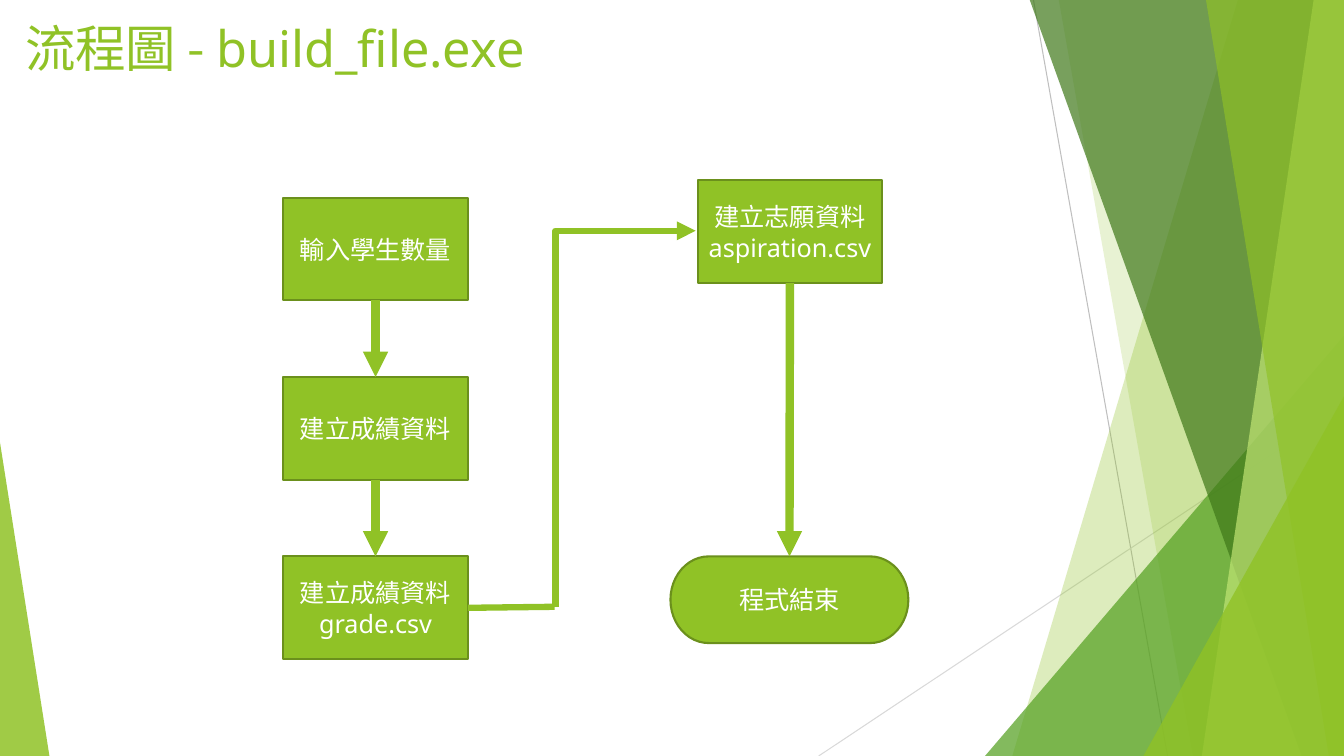
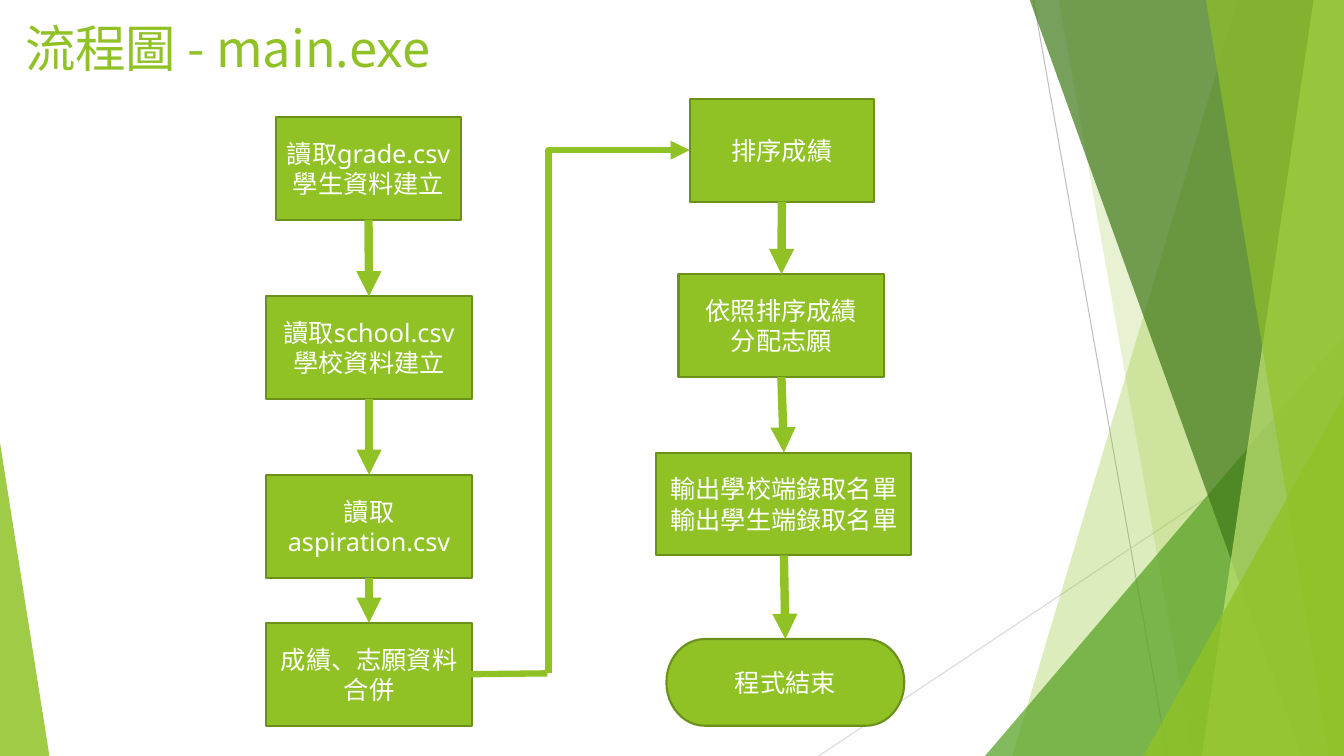
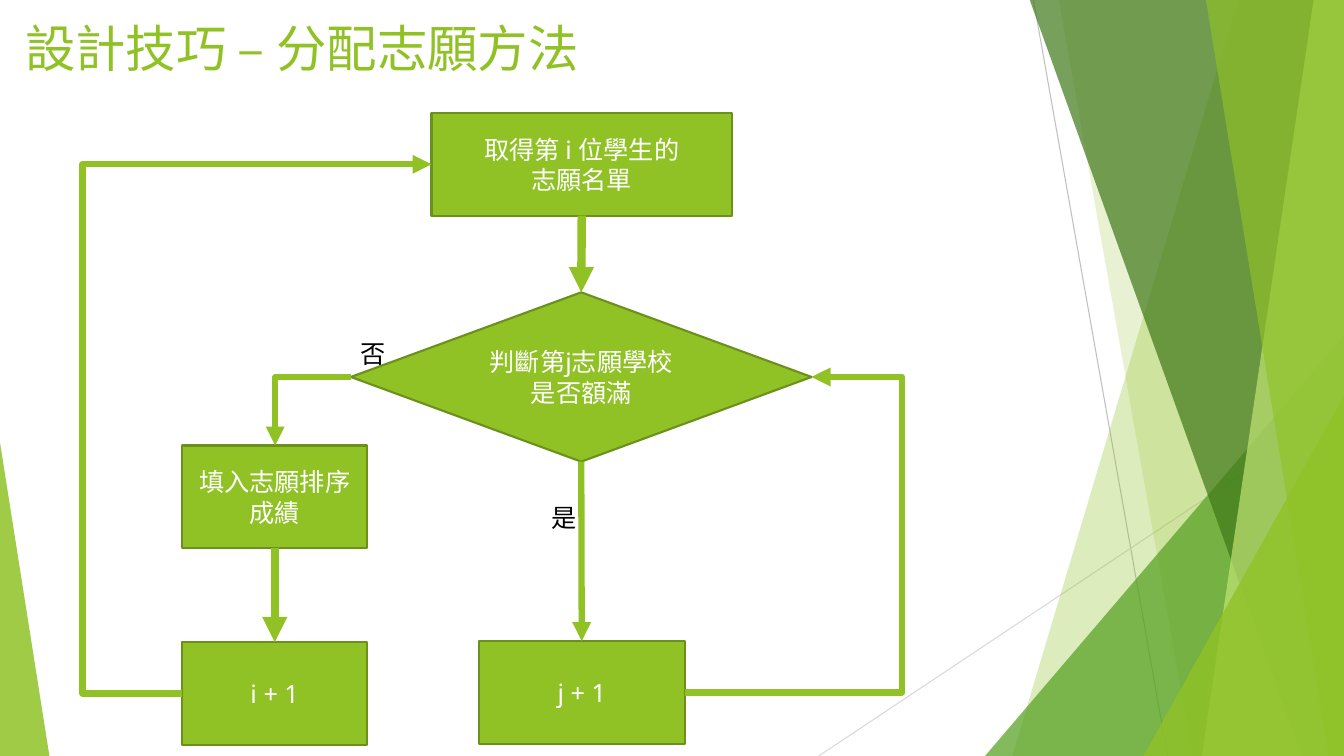
from dataclasses import dataclass

import pptx
import pptx.dml.color
import pptx.enum.shapes
import pptx.enum.text
import pptx.oxml
import pptx.oxml.ns
import pptx.util
from pptx.util import Inches

SHAPE = pptx.enum.shapes.MSO_SHAPE
CONNECTOR = pptx.enum.shapes.MSO_CONNECTOR
ALIGN = pptx.enum.text.PP_ALIGN
ANCHOR = pptx.enum.text.MSO_ANCHOR

WIDTH, HEIGHT = 13.33, 7.5
GREEN, DARK_GREEN, WHITE, BLACK = "90C226", "6B901C", "FFFFFF", "000000"
LATIN, CJK = "Noto Sans", "Noto Sans CJK SC"
TOP_SITE, BOTTOM_SITE = 0, 2
THICK, MEDIUM = 6, 4.5


@dataclass
class Facet:
    """Band from the top edge to the bottom edge, reaching the right side."""
    top_x: float
    bottom_x: float
    color: str
    opacity: int


@dataclass
class Wedge:
    """Right-angled triangle standing on the bottom edge."""
    left: float
    top: float
    width: float
    apex: float
    color: str
    opacity: int


@dataclass
class Ray:
    start: tuple[float, float]
    end: tuple[float, float]
    color: str


@dataclass
class Node:
    left: float
    top: float
    lines: list[str]
    width: float = 1.83
    height: float = 1.02
    kind: SHAPE = SHAPE.FLOWCHART_PROCESS


@dataclass
class Link:
    """Horizontal, vertical, horizontal route that turns at turn_x."""
    start: tuple[float, float]
    end: tuple[float, float]
    turn_x: float


@dataclass
class Label:
    left: float
    top: float
    text: str


@dataclass
class Flow:
    title: list[tuple[str, str]]
    nodes: dict[str, Node]
    arrows: list[tuple[str, str, float]]
    stubs: list[Ray]
    links: list[Link]
    labels: list[Label]


RAYS = [
    Ray((10.25, 0), (11.58, HEIGHT), "BFBFBF"),
    Ray((WIDTH, 4.03), (8.12, HEIGHT), "D9D9D9"),
]
DECORATION = [
    Facet(12.28, 10.04, GREEN, 30),
    Facet(10.5, 11.83, GREEN, 20),
    Wedge(9.77, 3.33, 3.56, 1, "54A021", 72),
    Facet(10.21, 12.91, "3F7819", 70),
    Facet(13.03, 11.92, "C0E474", 70),
    Facet(11.96, 13.18, GREEN, 65),
    Wedge(11.34, 3.93, 1.99, 1, GREEN, 80),
    Wedge(0, 4.39, 0.49, 0, GREEN, 85),
]


# Formatting helpers
def rgb(color: str) -> pptx.dml.color.RGBColor:
    return pptx.dml.color.RGBColor.from_string(color)


def append_element(parent, tag: str, **attributes: str):
    element = pptx.oxml.parse_xml(f"<a:{tag} {pptx.oxml.ns.nsdecls('a')}/>")
    for name, value in attributes.items():
        element.set(name, value)
    parent.append(element)
    return element


def fill_shape(shape, color: str, opacity: int = 100) -> None:
    shape.shadow.inherit = False
    shape.fill.solid()
    shape.fill.fore_color.rgb = rgb(color)
    if opacity < 100:
        tint = shape._element.spPr.find(".//" + pptx.oxml.ns.qn("a:srgbClr"))
        append_element(tint, "alpha", val=str(opacity * 1000))


def add_run(paragraph, text: str, size: float, color: str, font: str = LATIN) -> None:
    run = paragraph.add_run()
    run.text = text
    run.font.name = font
    run.font.size = pptx.util.Pt(size)
    run.font.color.rgb = rgb(color)


def style_line(connector, color: str, weight: float, arrow: bool) -> None:
    connector.line.color.rgb = rgb(color)
    connector.line.width = pptx.util.Pt(weight)
    if arrow:
        append_element(connector.line._get_or_add_ln(), "tailEnd", type="triangle")
    append_element(connector._element.spPr, "effectLst")


# Drawing functions
def add_line(slide, ray: Ray, weight: float) -> None:
    points = [Inches(value) for value in (*ray.start, *ray.end)]
    connector = slide.shapes.add_connector(CONNECTOR.STRAIGHT, *points)
    style_line(connector, ray.color, weight, arrow=False)


def add_facet(slide, facet: Facet) -> None:
    top = Inches(-0.01)
    builder = slide.shapes.build_freeform(Inches(facet.top_x), top)
    builder.add_line_segments([
        (Inches(WIDTH), top),
        (Inches(WIDTH), Inches(HEIGHT)),
        (Inches(facet.bottom_x), Inches(HEIGHT)),
    ])
    shape = builder.convert_to_shape()
    fill_shape(shape, facet.color, facet.opacity)
    shape.line.fill.background()


def add_wedge(slide, wedge: Wedge) -> None:
    shape = slide.shapes.add_shape(
        SHAPE.ISOSCELES_TRIANGLE, Inches(wedge.left), Inches(wedge.top),
        Inches(wedge.width), Inches(HEIGHT - wedge.top))
    shape.adjustments[0] = wedge.apex
    fill_shape(shape, wedge.color, wedge.opacity)
    shape.line.fill.background()


def add_decoration(slide) -> None:
    for ray in RAYS:
        add_line(slide, ray, 0.75)
    for part in DECORATION:
        if isinstance(part, Facet):
            add_facet(slide, part)
        else:
            add_wedge(slide, part)


def add_text_box(slide, left: float, top: float, width: float, height: float):
    box = slide.shapes.add_textbox(Inches(left), Inches(top), Inches(width), Inches(height))
    box.text_frame.word_wrap = True
    return box.text_frame.paragraphs[0]


def add_title(slide, parts: list[tuple[str, str]]) -> None:
    paragraph = add_text_box(slide, 0.15, 0.12, 9.4, 0.86)
    for text, font in parts:
        add_run(paragraph, text, 36, GREEN, font)


def add_node(slide, node: Node):
    shape = slide.shapes.add_shape(
        node.kind, Inches(node.left), Inches(node.top), Inches(node.width), Inches(node.height))
    fill_shape(shape, GREEN)
    shape.line.color.rgb = rgb(DARK_GREEN)
    shape.line.width = pptx.util.Pt(1.5)
    frame = shape.text_frame
    frame.vertical_anchor = ANCHOR.MIDDLE
    for index, line in enumerate(node.lines):
        paragraph = frame.add_paragraph() if index else frame.paragraphs[0]
        paragraph.alignment = ALIGN.CENTER
        add_run(paragraph, line, 18, WHITE)
    return shape


def add_down_arrow(slide, upper, lower, weight: float) -> None:
    connector = slide.shapes.add_connector(CONNECTOR.STRAIGHT, 0, 0, 0, 0)
    connector.begin_connect(upper, BOTTOM_SITE)
    connector.end_connect(lower, TOP_SITE)
    style_line(connector, GREEN, weight, arrow=True)


def add_link(slide, link: Link) -> None:
    points = [Inches(value) for value in (*link.start, *link.end)]
    connector = slide.shapes.add_connector(CONNECTOR.ELBOW, *points)
    geometry = connector._element.spPr.find(pptx.oxml.ns.qn("a:prstGeom"))
    start_x, end_x = link.start[0], link.end[0]
    if link.turn_x == end_x:
        geometry.set("prst", "bentConnector2")
    else:
        share = round((link.turn_x - start_x) / (end_x - start_x) * 100000)
        guides = geometry.find(pptx.oxml.ns.qn("a:avLst"))
        append_element(guides, "gd", name="adj1", fmla=f"val {share}")
    style_line(connector, GREEN, MEDIUM, arrow=True)


def add_flow(presentation, flow: Flow) -> None:
    slide = presentation.slides.add_slide(presentation.slide_layouts[6])
    add_decoration(slide)
    add_title(slide, flow.title)
    shapes = {name: add_node(slide, node) for name, node in flow.nodes.items()}
    for upper, lower, weight in flow.arrows:
        add_down_arrow(slide, shapes[upper], shapes[lower], weight)
    for stub in flow.stubs:
        add_line(slide, stub, MEDIUM)
    for link in flow.links:
        add_link(slide, link)
    for label in flow.labels:
        paragraph = add_text_box(slide, label.left, label.top, 0.38, 0.4)
        add_run(paragraph, label.text, 18, BLACK)


def end_node(left: float, top: float) -> Node:
    return Node(left, top, ["程式結束"], 2.36, 0.86, SHAPE.FLOWCHART_TERMINATOR)


# Slide contents
FLOWS = [
    Flow(
        title=[("流程圖 - ", CJK), ("build_file.exe", LATIN)],
        nodes={
            "count": Node(2.81, 1.96, ["輸入學生數量"]),
            "grades": Node(2.81, 3.74, ["建立成績資料"]),
            "grade file": Node(2.81, 5.52, ["建立成績資料", "grade.csv"]),
            "aspiration file": Node(6.92, 1.79, ["建立志願資料", "aspiration.csv"]),
            "end": end_node(6.65, 5.52),
        },
        arrows=[
            ("count", "grades", THICK),
            ("grades", "grade file", THICK),
            ("aspiration file", "end", THICK),
        ],
        stubs=[Ray((4.64, 6.03), (5.5, 6.02), GREEN)],
        links=[Link((5.51, 6.02), (6.9, 2.29), 5.51)],
        labels=[],
    ),
    Flow(
        title=[("流程圖 - main", CJK), (".exe", LATIN)],
        nodes={
            "grades": Node(2.74, 1.16, ["讀取grade.csv", "學生資料建立"]),
            "schools": Node(2.64, 2.94, ["讀取school.csv", "學校資料建立"], 2.04),
            "aspirations": Node(2.64, 4.71, ["讀取aspiration.csv"], 2.04),
            "merge": Node(2.64, 6.18, ["成績、志願資料合併"], 2.04),
            "sort": Node(6.84, 0.98, ["排序成績"]),
            "assign": Node(6.73, 2.72, ["依照排序成績", "分配志願"], 2.04),
            "output": Node(6.51, 4.49, ["輸出學校端錄取名單", "輸出學生端錄取名單"], 2.53),
            "end": end_node(6.61, 6.34),
        },
        arrows=[
            ("grades", "schools", THICK),
            ("schools", "aspirations", THICK),
            ("aspirations", "merge", THICK),
            ("sort", "assign", THICK),
            ("assign", "output", THICK),
            ("output", "end", THICK),
        ],
        stubs=[Ray((4.57, 6.69), (5.43, 6.68), GREEN)],
        links=[Link((5.44, 6.68), (6.84, 1.49), 5.44)],
        labels=[],
    ),
    Flow(
        title=[("設計技巧 – 分配志願方法", LATIN)],
        nodes={
            "student": Node(4.28, 1.12, ["取得第 i 位學生的", "志願名單"], 2.98),
            "next choice": Node(4.75, 6.36, ["j + 1"], 2.04),
            "fill in": Node(1.81, 4.42, ["填入志願排序成績"]),
            "full": Node(3.48, 2.9, ["判斷第j志願學校", "是否額滿"], 4.57, 1.68,
                         SHAPE.FLOWCHART_DECISION),
            "next student": Node(1.81, 6.37, ["i + 1"]),
        },
        arrows=[
            ("student", "full", THICK),
            ("fill in", "next student", THICK),
            ("full", "next choice", MEDIUM),
        ],
        stubs=[],
        links=[
            Link((1.81, 6.88), (4.28, 1.63), 0.82),
            Link((3.48, 3.74), (2.73, 4.42), 2.73),
            Link((6.79, 6.87), (8.05, 3.74), 8.95),
        ],
        labels=[Label(3.48, 3.31, "否"), Label(5.37, 4.93, "是")],
    ),
]


presentation = pptx.Presentation()
presentation.slide_width = Inches(WIDTH)
presentation.slide_height = Inches(HEIGHT)
for flow in FLOWS:
    add_flow(presentation, flow)
presentation.save("out.pptx")
